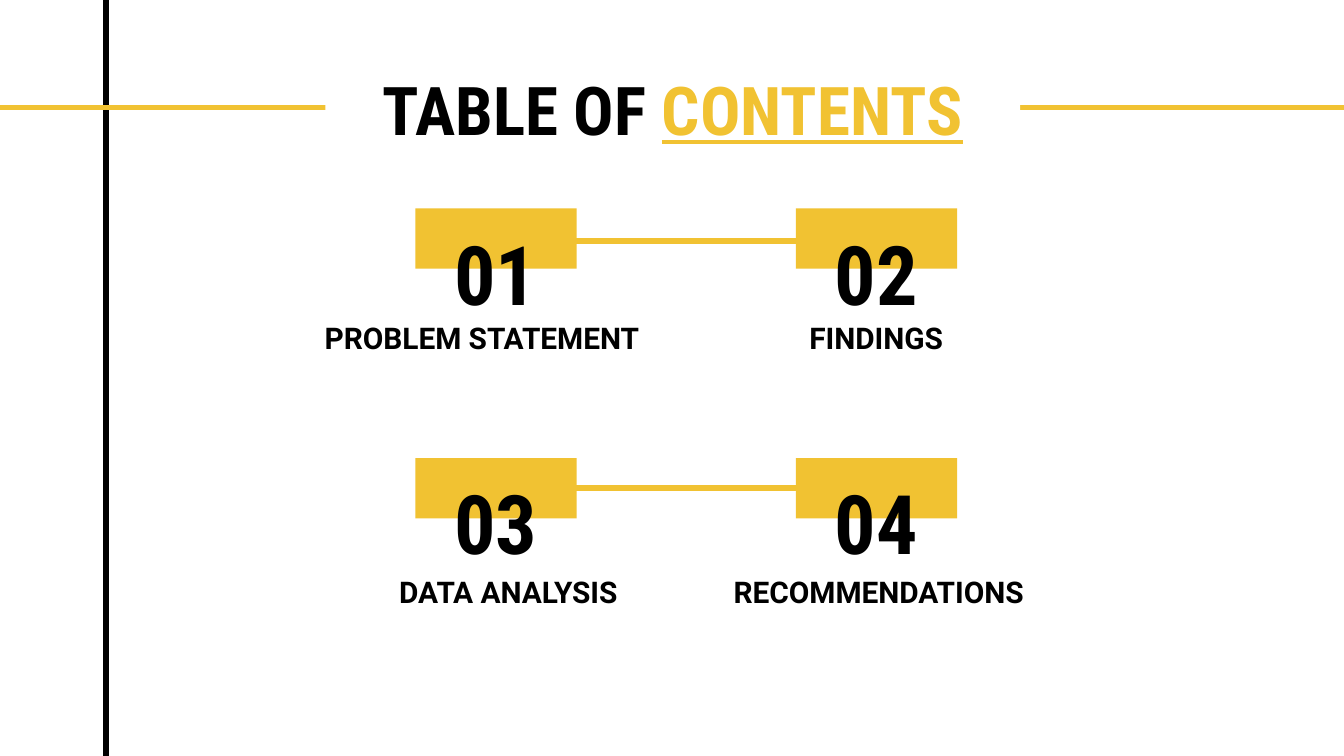
from lxml import etree
from pptx import Presentation
from pptx.dml.color import RGBColor
from pptx.enum.shapes import MSO_CONNECTOR, MSO_SHAPE
from pptx.enum.text import MSO_ANCHOR, MSO_AUTO_SIZE, PP_ALIGN
from pptx.oxml.ns import qn
from pptx.util import Cm, Pt

LINE, RECT = MSO_CONNECTOR.STRAIGHT, MSO_SHAPE.RECTANGLE
TOP, BOTTOM = MSO_ANCHOR.TOP, MSO_ANCHOR.BOTTOM
CENTER, FIXED = PP_ALIGN.CENTER, MSO_AUTO_SIZE.NONE
BLACK = RGBColor(0x00, 0x00, 0x00)
WHITE = RGBColor(0xFF, 0xFF, 0xFF)
GOLD = RGBColor(0xF1, 0xC2, 0x32)
HEAD, BODY = "Roboto Condensed", "Roboto"

TITLE = ("TABLE OF ", "CONTENTS")
ROWS = [
    {"top": 3.94, "link": (10.67, 4.55), "text": 5.79,
     "items": [("01", "PROBLEM STATEMENT", 5.49), ("02", "FINDINGS", 13.03)]},
    {"top": 8.66, "link": (10.82, 9.22), "text": 10.59,
     "items": [("03", "DATA ANALYSIS", 5.99), ("04", "RECOMMENDATIONS", 13.08)]},
]
COLS = [(7.85, 7.24), (15.04, 7.06)]
BAR_W, BAR_H = 3.05, 1.14
NUM_W, NUM_H, NUM_DROP = 4.29, 1.78, 0.61
LINK_W = 4.48

deck = Presentation()
deck.slide_width, deck.slide_height = Cm(25.4), Cm(14.29)
slide = deck.slides.add_slide(deck.slide_layouts[5])
shapes = slide.shapes


def add_line(x1, y1, x2, y2, color):
    line = shapes.add_connector(LINE, Cm(x1), Cm(y1), Cm(x2), Cm(y2))
    line.line.color.rgb = color
    line.line.width = Pt(3)
    etree.SubElement(line.element.spPr, qn("a:effectLst"))


def add_rect(x, y, w, h, color):
    rect = shapes.add_shape(RECT, Cm(x), Cm(y), Cm(w), Cm(h))
    rect.shadow.inherit = False
    rect.fill.solid()
    rect.fill.fore_color.rgb = color
    rect.line.fill.background()


def put_text(text, x, y, w, h, box=None, size=16, font=BODY, anchor=TOP, accent=None):
    box = box or shapes.add_textbox(Cm(x), Cm(y), Cm(w), Cm(h))
    box.left, box.top, box.width, box.height = Cm(x), Cm(y), Cm(w), Cm(h)
    frame = box.text_frame
    frame.word_wrap, frame.auto_size = True, FIXED
    frame.vertical_anchor = anchor
    frame.margin_left = frame.margin_right = Cm(0.25)
    frame.margin_top = frame.margin_bottom = Cm(0.25)
    para = frame.paragraphs[0]
    para.alignment = CENTER
    for part in filter(None, (text, accent)):
        run = para.add_run()
        run.text = part
        run.font.name, run.font.size, run.font.bold = font, Pt(size), True
        run.font.color.rgb = GOLD if part == accent else BLACK
        if part == accent:
            run.font.underline = True


add_line(2.01, -0.05, 2.01, 14.35, BLACK)
add_line(25.98, 2.03, -0.13, 2.03, GOLD)
add_rect(6.15, 0.23, 13.13, 2.87, WHITE)

title = shapes.title
shapes.element.append(title.element)
put_text(TITLE[0], 6.86, 1.04, 11.71, 1.88, box=title, size=36, font=HEAD, accent=TITLE[1])

for row in ROWS:
    x, y = row["link"]
    add_line(x, y, x + LINK_W, y, GOLD)
    for (left, wide), (num, label, start) in zip(COLS, row["items"]):
        add_rect(left, row["top"], BAR_W, BAR_H, GOLD)
        put_text(num, left + (BAR_W - NUM_W) / 2, row["top"] + NUM_DROP, NUM_W, NUM_H,
                 size=44, font=HEAD, anchor=BOTTOM)
        put_text(label, start, row["text"], wide, 0.99)

deck.save("out.pptx")
